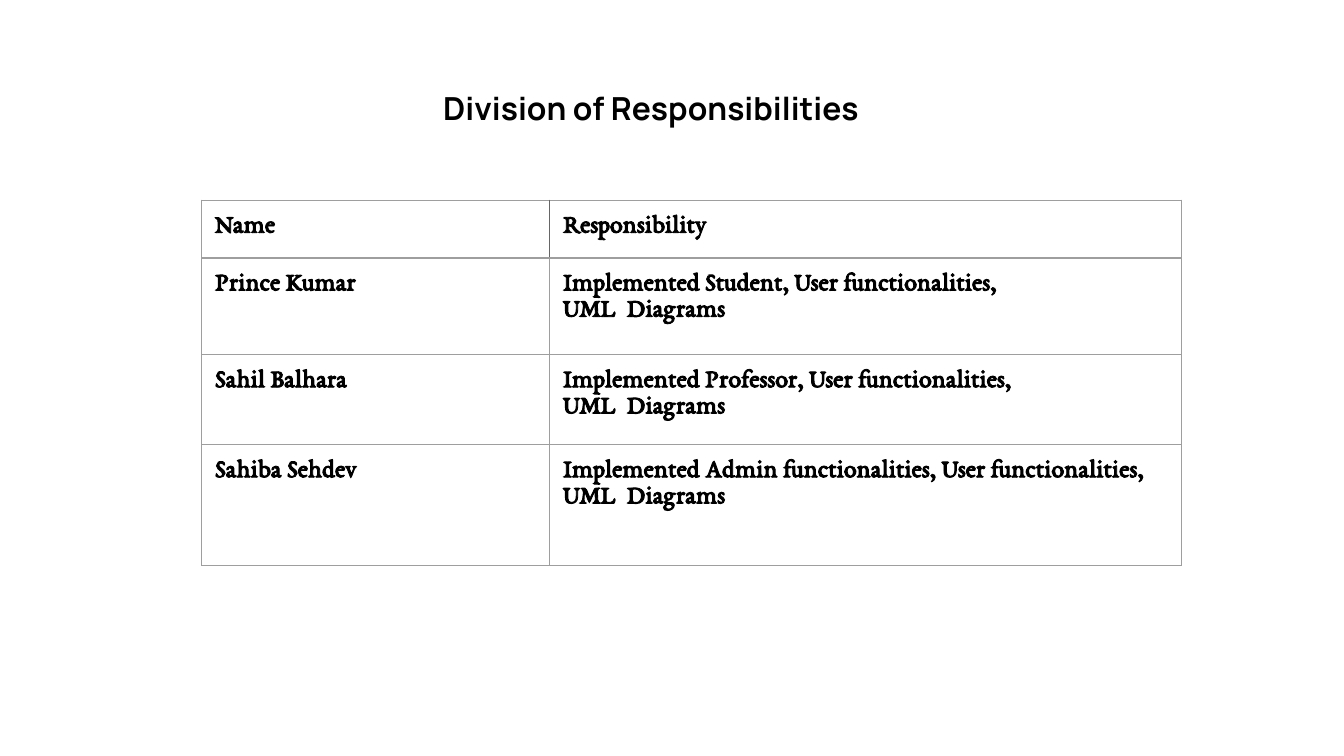
from lxml import etree
from pptx import Presentation
from pptx.dml.color import RGBColor
from pptx.enum import text
from pptx.oxml import ns
from pptx.util import Inches, Pt

COLORS = {"text": "000000", "border": "9E9E9E", "divider": "666666", "background": "FFFFFF"}


def write(tf, content, font, size, align=text.PP_ALIGN.LEFT):
    """Fill a text frame, one paragraph for each line of content."""
    tf.word_wrap = True
    for i, line in enumerate(content.split("\n")):
        p = tf.paragraphs[0] if i == 0 else tf.add_paragraph()
        p.alignment = align
        r = p.add_run()
        r.text = line
        r.font.name = font
        r.font.size = Pt(size)
        r.font.bold = True
        r.font.color.rgb = RGBColor.from_string(COLORS["text"])


def set_border(cell, side, color):
    """Draw one side of a cell: L, R, T or B."""
    ln = etree.SubElement(cell._tc.get_or_add_tcPr(), ns.qn(f"a:ln{side}"), w=str(Pt(0.75)))
    fill = etree.SubElement(ln, ns.qn("a:solidFill"))
    etree.SubElement(fill, ns.qn("a:srgbClr"), val=color)


# A 16:9 slide
prs = Presentation()
prs.slide_width = Inches(10)
prs.slide_height = Inches(10 * 9 / 16)
s = prs.slides.add_slide(prs.slide_layouts[5])
s.background.fill.solid()
s.background.fill.fore_color.rgb = RGBColor.from_string(COLORS["background"])

# Title
title = s.shapes.title
title.left, title.top = Inches(2.82), Inches(0.56)
title.width, title.height = Inches(4.05), Inches(0.49)
tf = title.text_frame
tf.margin_left = tf.margin_right = tf.margin_top = tf.margin_bottom = Inches(0.1)
tf.vertical_anchor = text.MSO_ANCHOR.TOP
tf.auto_size = text.MSO_AUTO_SIZE.NONE
write(tf, "Division of Responsibilities", "Manrope", 17, text.PP_ALIGN.CENTER)

# Responsibilities table
rows = [
    ("Name", "Responsibility"),
    ("Prince Kumar", "Implemented Student, User functionalities,\nUML  Diagrams"),
    ("Sahil Balhara", "Implemented Professor, User functionalities,\nUML  Diagrams"),
    ("Sahiba Sehdev", "Implemented Admin functionalities, User functionalities,\nUML  Diagrams"),
]
col_widths = [2.59, 4.7]
row_heights = [0.43, 0.72, 0.67, 0.9]
table = s.shapes.add_table(
    len(rows), len(col_widths), Inches(1.5), Inches(1.49),
    Inches(sum(col_widths)), Inches(sum(row_heights))).table
table.first_row = table.horz_banding = False
for col, width in zip(table.columns, col_widths):
    col.width = Inches(width)
for row, height in zip(table.rows, row_heights):
    row.height = Inches(height)

for i, row in enumerate(rows):
    for j, content in enumerate(row):
        cell = table.cell(i, j)
        cell.margin_left = cell.margin_right = Inches(0.1)
        cell.margin_top = cell.margin_bottom = Inches(0.1)
        write(cell.text_frame, content, "EB Garamond", 14)
        # The header's inner divider is darker; borders come before the fill
        inner = "R" if j == 0 else "L"
        for side in "LRTB":
            dark = i == 0 and side == inner
            set_border(cell, side, COLORS["divider" if dark else "border"])
        cell.fill.background()

prs.save("out.pptx")
